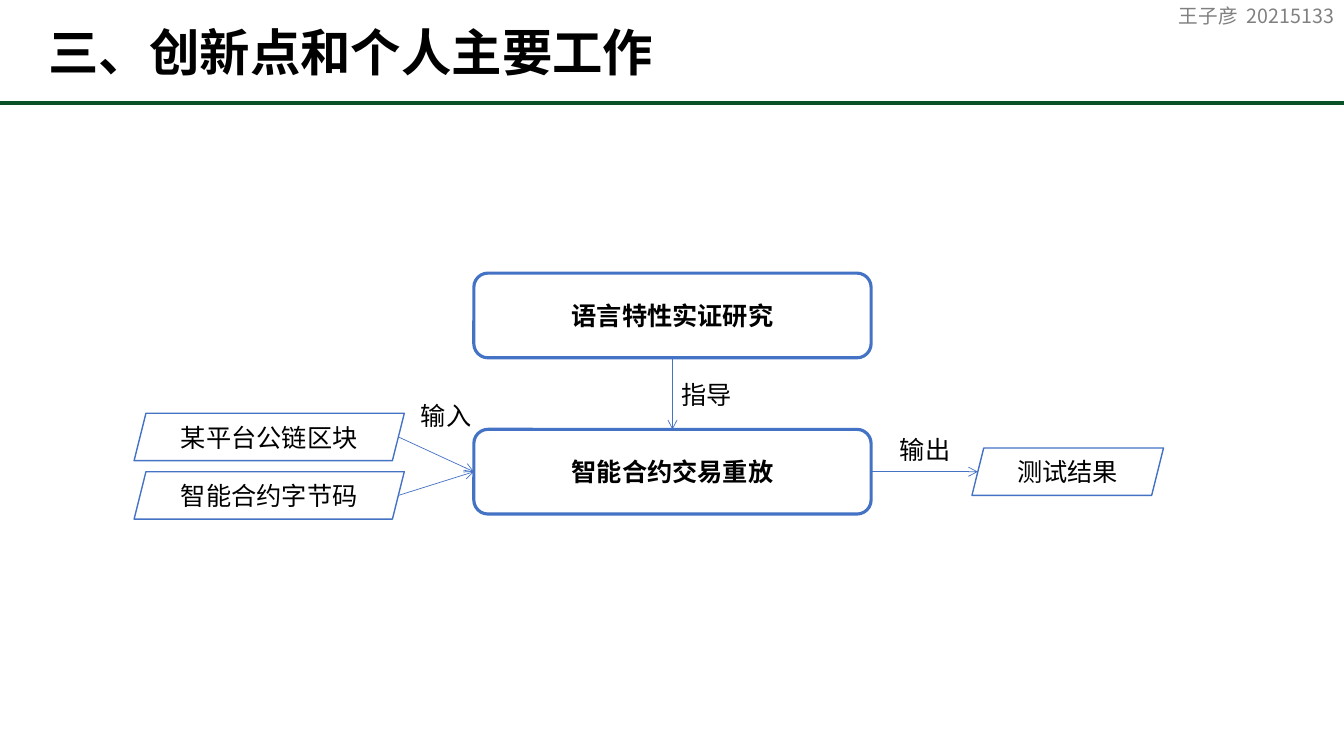
from dataclasses import dataclass

from lxml import etree
from pptx import Presentation
from pptx import util as u
from pptx.dml.color import RGBColor
from pptx.enum import shapes, text
from pptx.oxml.ns import qn


@dataclass(frozen=True)
class Theme:
    font: str = "Noto Sans CJK SC"
    ink: str = "000000"
    paper: str = "FFFFFF"
    outline: str = "4472C4"
    rule: str = "0B5128"
    muted: str = "808080"
    title_size: int = 36
    body_size: int = 18
    author_size: int = 14


THEME = Theme()
ALIGN = text.PP_ALIGN
SLIDE_WIDTH, SLIDE_HEIGHT = 13.33, 7.5
STEP_LEFT, STEP_WIDTH, STEP_HEIGHT = 4.7, 3.94, 0.84
STUDY_TOP, REPLAY_TOP = 2.71, 4.26
DATA_HEIGHT = 0.47
INPUT_LEFT, INPUT_WIDTH, INPUT_TOP, INPUT_PITCH = 1.33, 2.68, 4.1, 0.58
RESULT_LEFT, RESULT_WIDTH = 9.64, 1.9
SLANT = DATA_HEIGHT / 8  # half of the parallelogram's sideways shift


def inches(*lengths):
    return [u.Inches(length) for length in lengths]


def write(frame, words, size, color=THEME.ink, bold=False, align=ALIGN.CENTER):
    para = frame.paragraphs[0]
    para.alignment = align
    span = para.add_run()
    span.text = words
    font = span.font
    font.size, font.bold, font.name = u.Pt(size), bold, THEME.font
    font.color.rgb = RGBColor.from_string(color)
    latin = span.font._element.find(qn("a:latin"))
    east_asian = etree.Element(qn("a:ea"), typeface=THEME.font)
    latin.addnext(east_asian)


def add_title(page, words):
    title = page.shapes.title
    title.left, title.top, title.width, title.height = inches(0.38, 0, 11.17, 1.02)
    frame = title.text_frame
    frame.vertical_anchor = text.MSO_ANCHOR.MIDDLE
    frame.auto_size = text.MSO_AUTO_SIZE.NONE
    write(frame, words, THEME.title_size, bold=True, align=ALIGN.LEFT)


def add_box(page, kind, words, place, weight, bold=False):
    box = page.shapes.add_shape(kind, *inches(*place))
    box.shadow.inherit = False
    box.fill.solid()
    box.fill.fore_color.rgb = RGBColor.from_string(THEME.paper)
    box.line.color.rgb = RGBColor.from_string(THEME.outline)
    box.line.width = u.Pt(weight)
    box.text_frame.word_wrap = True
    box.text_frame.vertical_anchor = text.MSO_ANCHOR.MIDDLE
    write(box.text_frame, words, THEME.body_size, bold=bold)


def add_step(page, words, top):
    place = (STEP_LEFT, top, STEP_WIDTH, STEP_HEIGHT)
    add_box(page, shapes.MSO_SHAPE.ROUNDED_RECTANGLE, words, place, 2.25, bold=True)


def add_data(page, words, left, top, width):
    place = (left, top, width, DATA_HEIGHT)
    add_box(page, shapes.MSO_SHAPE.PARALLELOGRAM, words, place, 1)


def add_label(page, words, place, size=THEME.body_size, color=THEME.ink, align=ALIGN.CENTER):
    label = page.shapes.add_textbox(*inches(*place))
    label.text_frame.word_wrap = True
    label.text_frame.auto_size = text.MSO_AUTO_SIZE.SHAPE_TO_FIT_TEXT
    write(label.text_frame, words, size, color, align=align)


def add_line(page, start, end, color, weight):
    line = page.shapes.add_connector(
        shapes.MSO_CONNECTOR.STRAIGHT, *inches(*start, *end))
    line.line.color.rgb = RGBColor.from_string(color)
    line.line.width = u.Pt(weight)
    etree.SubElement(line._element.spPr, qn("a:effectLst"))
    return line


def add_arrow(page, start, end):
    arrow = add_line(page, start, end, THEME.outline, 0.5)
    etree.SubElement(arrow.line._get_or_add_ln(), qn("a:tailEnd"), type="arrow")


def main():
    deck = Presentation()
    deck.slide_width, deck.slide_height = inches(SLIDE_WIDTH, SLIDE_HEIGHT)
    page = deck.slides.add_slide(deck.slide_layouts[5])

    add_line(page, (0, 1.02), (SLIDE_WIDTH, 1.02), THEME.rule, 3)
    add_title(page, "三、创新点和个人主要工作")
    add_label(page, "王子彦  20215133", (11.07, -0.01, 2.26, 0.34),
              THEME.author_size, THEME.muted, ALIGN.RIGHT)

    add_step(page, "语言特性实证研究", STUDY_TOP)
    add_step(page, "智能合约交易重放", REPLAY_TOP)
    center = STEP_LEFT + STEP_WIDTH / 2
    middle = REPLAY_TOP + STEP_HEIGHT / 2
    add_arrow(page, (center, STUDY_TOP + STEP_HEIGHT), (center, REPLAY_TOP))

    for row, words in enumerate(("某平台公链区块", "智能合约字节码")):
        top = INPUT_TOP + row * INPUT_PITCH
        add_data(page, words, INPUT_LEFT, top, INPUT_WIDTH)
        add_arrow(page, (INPUT_LEFT + INPUT_WIDTH - SLANT, top + DATA_HEIGHT / 2),
                  (STEP_LEFT, middle))

    add_data(page, "测试结果", RESULT_LEFT, middle - DATA_HEIGHT / 2, RESULT_WIDTH)
    add_arrow(page, (STEP_LEFT + STEP_WIDTH, middle), (RESULT_LEFT + SLANT, middle))

    add_label(page, "指导", (6.66, 3.71, 0.95, 0.4), align=ALIGN.LEFT)
    for words, left, top in (("输入", 3.95, 3.92), ("输出", 8.7, 4.26)):
        add_label(page, words, (left, top, 0.95, 0.4))

    deck.save("out.pptx")


if __name__ == "__main__":
    main()
